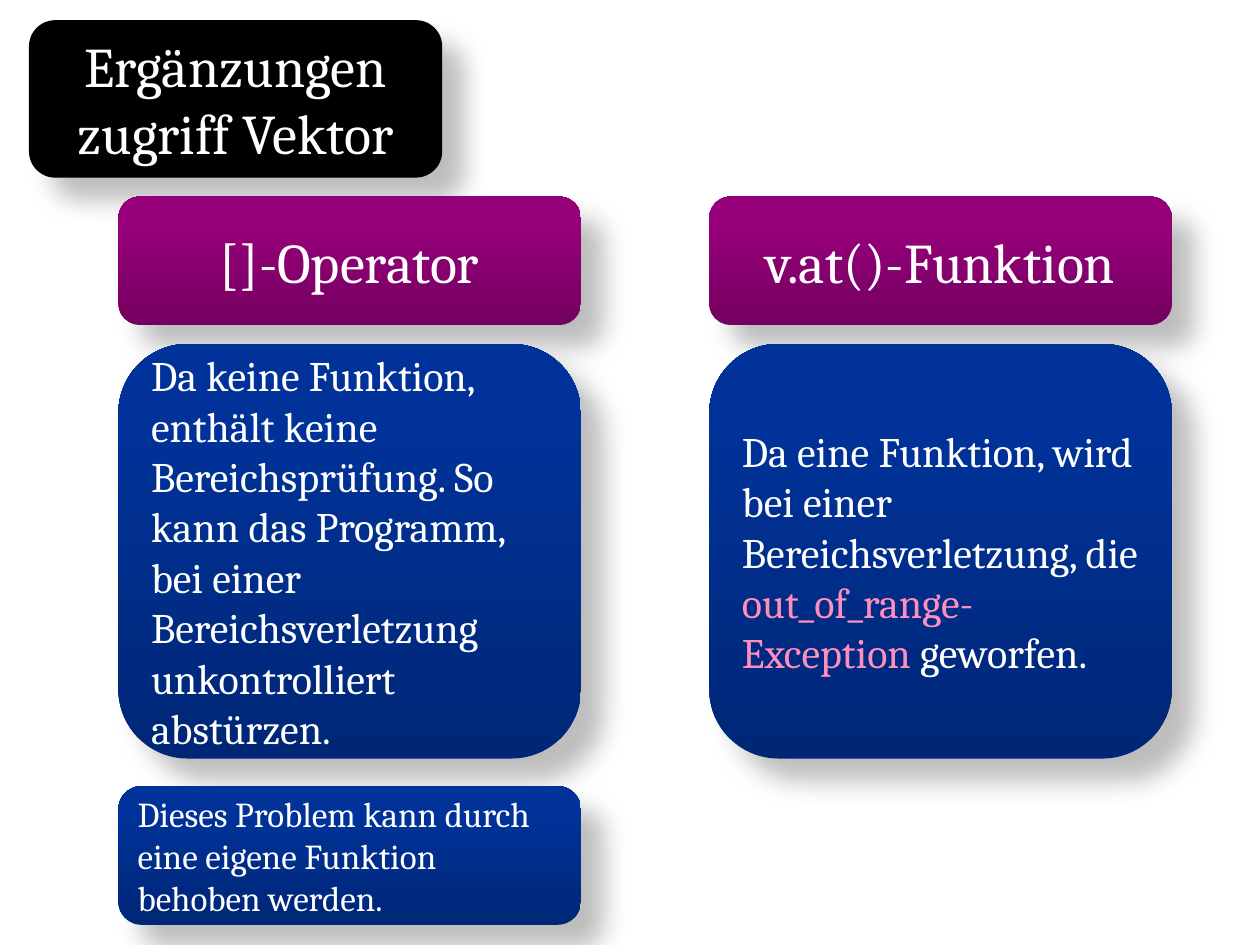
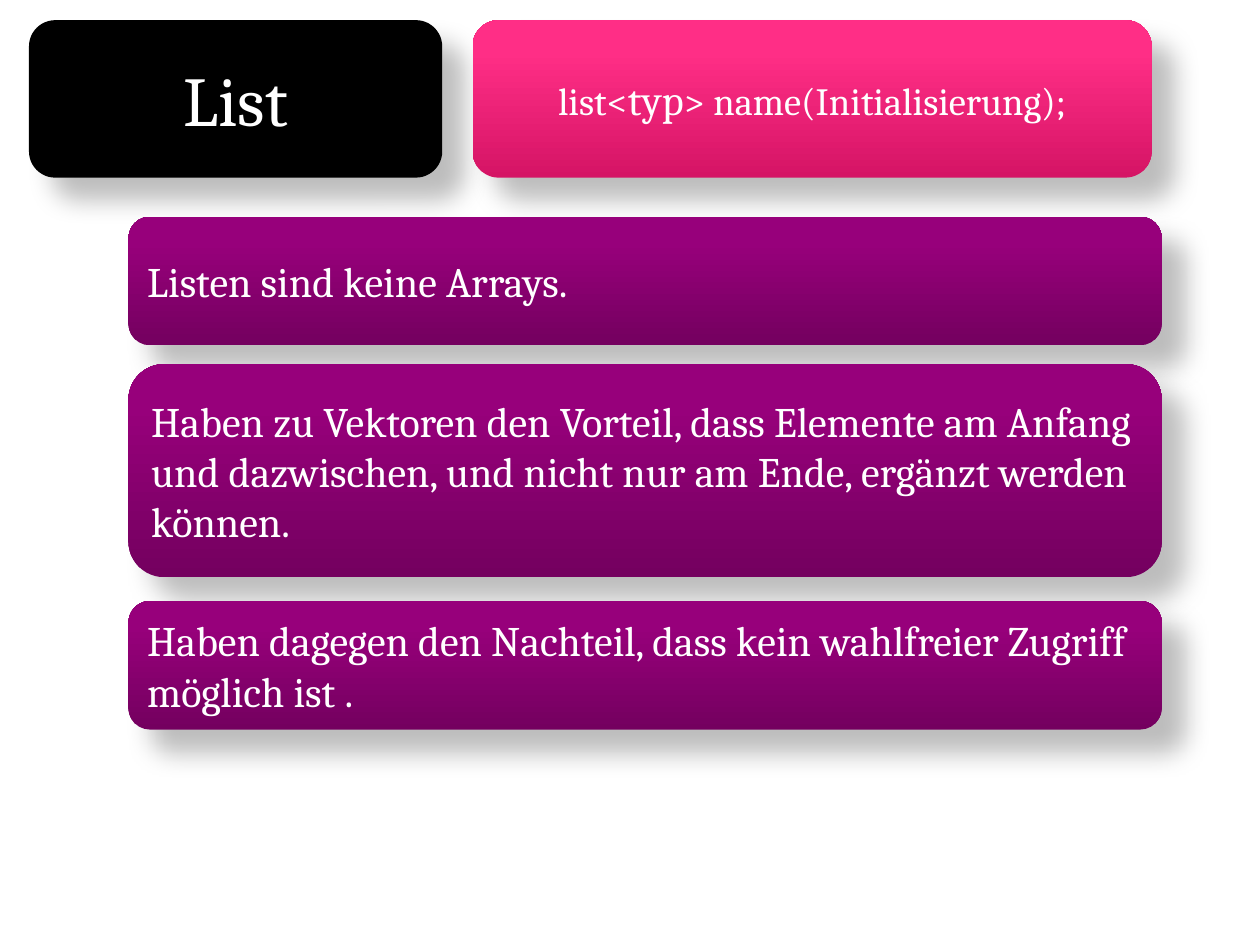
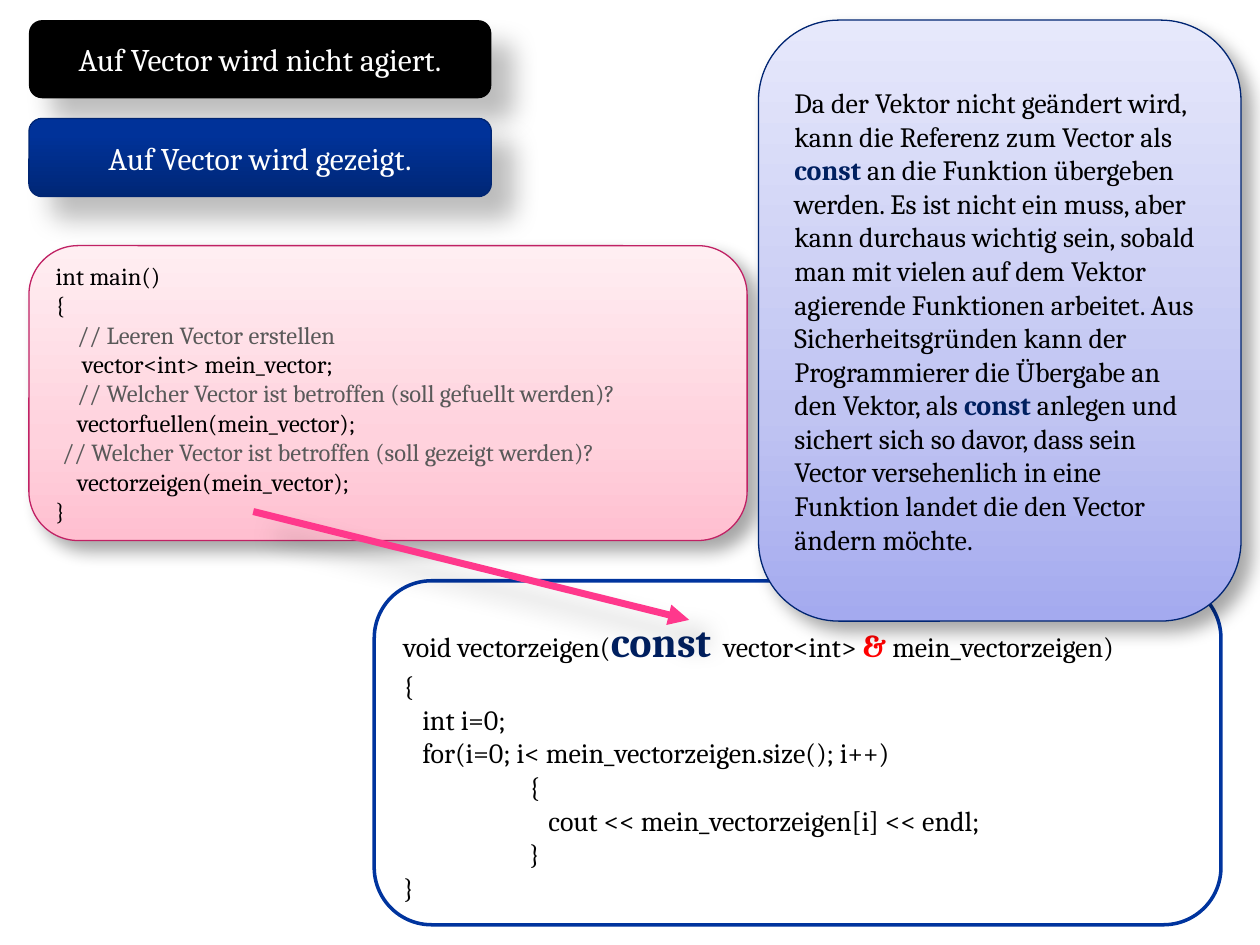
from pptx import Presentation
from pptx.dml.color import RGBColor
from pptx.enum.shapes import MSO_CONNECTOR, MSO_SHAPE
from pptx.enum.text import MSO_ANCHOR, PP_ALIGN
from pptx.oxml import parse_xml
from pptx.oxml.ns import nsdecls, qn
from pptx.util import Inches, Pt
from lxml.etree import SubElement

# Shared look
FONT = "Cambria"
BLACK, WHITE, NAVY, GREY = "000000", "FFFFFF", "002060", "595959"
ROSE, RED, ARROW_PINK = "FF8EBA", "FF0000", "FF388C"
BLUE_EDGE, PINK_EDGE, FRAME_BLUE = "002572", "C02164", "00349E"

# Gradients run from bottom to top: (percent, colour)
PURPLE = [(0, "74005F"), (80, "97007B"), (100, "98007C")]
BLUE = [(0, "002776"), (80, "003299"), (100, "00339A")]
PINK = [(0, "D51465"), (80, "FF2E86"), (100, "FF3087")]
PALE_PINK = [(0, "FFBFD0"), (35, "FFD2DD"), (100, "FFEEF2")]
PALE_BLUE = [(0, "A4AAEF"), (35, "C0C4F2"), (100, "E6E8FB")]

# Shadows: opacity in percent, blur and distance in points
DEEP = (26, 15, 18)
SOFT = (35, 10.2, 8)

LEFT, TOP = 0.23, 0.16
LABEL_WIDTH = 3.67
CONST = ("const", {"color": NAVY, "bold": True})


def rgb(value):
    return RGBColor.from_string(value)


def add_shadow(shape, opacity, blur, distance):
    effects = shape._element.spPr.find(qn("a:effectLst"))
    if effects is None:
        effects = SubElement(shape._element.spPr, qn("a:effectLst"))
    outer = SubElement(effects, qn("a:outerShdw"), blurRad=str(Pt(blur)),
                       dist=str(Pt(distance)), dir="2700000",
                       algn="tl", rotWithShape="0")
    color = SubElement(outer, qn("a:srgbClr"), val=BLACK)
    SubElement(color, qn("a:alpha"), val=str(opacity * 1000))


def set_fill(shape, fill):
    if isinstance(fill, str):
        shape.fill.solid()
        shape.fill.fore_color.rgb = rgb(fill)
        return
    stops = "".join(
        f'<a:gs pos="{percent * 1000}"><a:srgbClr val="{color}"/></a:gs>'
        for percent, color in fill)
    shape._element.spPr.prstGeom.addnext(parse_xml(
        f'<a:gradFill {nsdecls("a")} rotWithShape="1"><a:gsLst>{stops}</a:gsLst>'
        '<a:lin ang="16200000" scaled="0"/></a:gradFill>'))


def set_font(font, size=None, color=None, bold=None):
    if size:
        font.size = Pt(size)
    if color:
        font.color.rgb = rgb(color)
    if bold is not None:
        font.bold = bold


def write_paragraph(paragraph, parts, size, color, align, indent=0):
    """Parts are plain strings or (text, font settings) pairs."""
    paragraph.alignment = align
    paragraph.font.name = FONT
    set_font(paragraph.font, size, color)
    if indent:
        paragraph._p.get_or_add_pPr().set("marL", str(Inches(indent)))
    for part in [parts] if isinstance(parts, str) else parts:
        text, style = (part, {}) if isinstance(part, str) else part
        run = paragraph.add_run()
        run.text = text
        set_font(run.font, **style)


def add_card(slide, box, fill, lines, size, color=WHITE, align=PP_ALIGN.LEFT,
             edge=None, edge_width=0.75, shadow=DEEP):
    """Rounded card; each line is (indent in inches, parts, colour or None)."""
    card = slide.shapes.add_shape(MSO_SHAPE.ROUNDED_RECTANGLE, *map(Inches, box))
    card.shadow.inherit = False
    set_fill(card, fill)
    if edge:
        card.line.color.rgb = rgb(edge)
        card.line.width = Pt(edge_width)
    else:
        card.line.fill.background()
    if shadow:
        add_shadow(card, *shadow)
    frame = card.text_frame
    frame.word_wrap = True
    frame.vertical_anchor = MSO_ANCHOR.MIDDLE
    for number, (indent, parts, line_color) in enumerate(lines):
        paragraph = frame.add_paragraph() if number else frame.paragraphs[0]
        write_paragraph(paragraph, parts, size, line_color or color, align, indent)


def add_text_card(slide, box, fill, parts, size, **look):
    add_card(slide, box, fill, [(0, parts, None)], size, **look)


def add_heading(slide, box, fill, parts, size, **look):
    add_text_card(slide, box, fill, parts, size, align=PP_ALIGN.CENTER, **look)


def add_title(slide, text, size):
    add_heading(slide, (LEFT, TOP, 3.28, 1.25), BLACK, text, size)


def add_arrow(slide, start, end):
    arrow = slide.shapes.add_connector(
        MSO_CONNECTOR.STRAIGHT, *map(Inches, start + end))
    arrow.line.color.rgb = rgb(ARROW_PINK)
    arrow.line.width = Pt(4)
    SubElement(arrow.line._get_or_add_ln(), qn("a:tailEnd"), type="triangle")
    add_shadow(arrow, *DEEP)


def build_vector_access(slide):
    add_title(slide, "Ergänzungen zugriff Vektor", 32)
    columns = [
        (0.94, "[]-Operator",
         "Da keine Funktion, enthält keine Bereichsprüfung. So kann das Programm, "
         "bei einer Bereichsverletzung unkontrolliert abstürzen."),
        (5.63, "v.at()-Funktion",
         ["Da eine Funktion, wird bei einer Bereichsverletzung, die ",
          ("out_of_range-Exception", {"color": ROSE}), " geworfen."]),
    ]
    for left, access, explanation in columns:
        add_heading(slide, (left, 1.56, LABEL_WIDTH, 1.02), PURPLE, access, 32)
        add_text_card(slide, (left, 2.73, LABEL_WIDTH, 3.29), BLUE, explanation, 24)
    add_text_card(slide, (columns[0][0], 6.24, LABEL_WIDTH, 1.1), BLUE,
                  "Dieses Problem kann durch eine eigene Funktion behoben werden.", 20)


def build_list(slide):
    add_title(slide, "List", 40)
    add_heading(slide, (3.75, TOP, 5.39, 1.25), PINK,
                ["list<", ("typ", {"size": 24}), "> name(Initialisierung);"], 22)
    properties = [
        (1.72, 1.02, "Listen sind keine Arrays."),
        (2.89, 1.69, "Haben zu Vektoren den Vorteil, dass Elemente am Anfang und "
                     "dazwischen, und nicht nur am Ende, ergänzt werden können."),
        (4.77, 1.02, "Haben dagegen den Nachteil, dass kein wahlfreier Zugriff "
                     "möglich ist ."),
    ]
    for top, height, statement in properties:
        add_text_card(slide, (1.02, top, 8.2, height), PURPLE, statement, 24)


def build_const_reference(slide):
    add_heading(slide, (LEFT, TOP, LABEL_WIDTH, 0.62), BLACK,
                "Auf Vector wird nicht agiert.", 18)

    # Calling code
    main_code = [
        (0, "int main()", None),
        (0, "{", None),
        (0.17, "// Leeren Vector erstellen", GREY),
        (0.21, "vector<int> mein_vector;", None),
        (0.17, "// Welcher Vector ist betroffen (soll gefuellt werden)?", GREY),
        (0.17, "vectorfuellen(mein_vector);", None),
        (0.05, "// Welcher Vector ist betroffen (soll gezeigt werden)?", GREY),
        (0.17, "vectorzeigen(mein_vector);", None),
        (0, "}", None),
    ]
    add_card(slide, (LEFT, 1.95, 5.7, 2.34), PALE_PINK, main_code, 14,
             color=BLACK, edge=PINK_EDGE, shadow=SOFT)

    # Called function
    signature = [
        "void vectorzeigen(",
        ("const", {"size": 24, "color": NAVY, "bold": True}),
        (" ", {"size": 32}),
        "vector<int> ",
        ("&", {"size": 18, "color": RED, "bold": True}),
        " mein_vectorzeigen)",
    ]
    function_code = [
        (0, signature, None),
        (0, "{", None),
        (0.15, "int i=0;", None),
        (0.15, "for(i=0; i< mein_vectorzeigen.size(); i++)", None),
        (1, "{", None),
        (1.15, "cout << mein_vectorzeigen[i] << endl;", None),
        (1, "}", None),
        (0, "}", None),
    ]
    add_card(slide, (2.97, 4.61, 6.72, 2.73), WHITE, function_code, 16,
             color=BLACK, edge=FRAME_BLUE, edge_width=2, shadow=None)

    # Explanation
    explanation = [
        "Da der Vektor nicht geändert wird, kann die Referenz zum Vector als ",
        CONST,
        " an die Funktion übergeben werden. Es ist nicht ein muss, aber kann "
        "durchaus wichtig sein, sobald man mit vielen auf dem Vektor agierende "
        "Funktionen arbeitet. Aus Sicherheitsgründen kann der Programmierer die "
        "Übergabe an den Vektor, als ",
        CONST,
        " anlegen und sichert sich so davor, dass sein Vector versehenlich in "
        "eine Funktion landet die den Vector ändern möchte.",
    ]
    add_text_card(slide, (6.02, TOP, 3.83, 4.77), PALE_BLUE, explanation, 16,
                  color=BLACK, edge=BLUE_EDGE, shadow=SOFT)
    add_heading(slide, (LEFT, 0.94, LABEL_WIDTH, 0.62), BLUE,
                "Auf Vector wird gezeigt.", 18, edge=BLUE_EDGE)
    add_arrow(slide, (2.01, 4.06), (5.47, 4.92))


def main():
    deck = Presentation()
    deck.slide_width, deck.slide_height = Inches(10), Inches(7.5)
    blank = deck.slide_layouts[6]
    for build in (build_vector_access, build_list, build_const_reference):
        build(deck.slides.add_slide(blank))
    deck.save("out.pptx")


if __name__ == "__main__":
    main()
